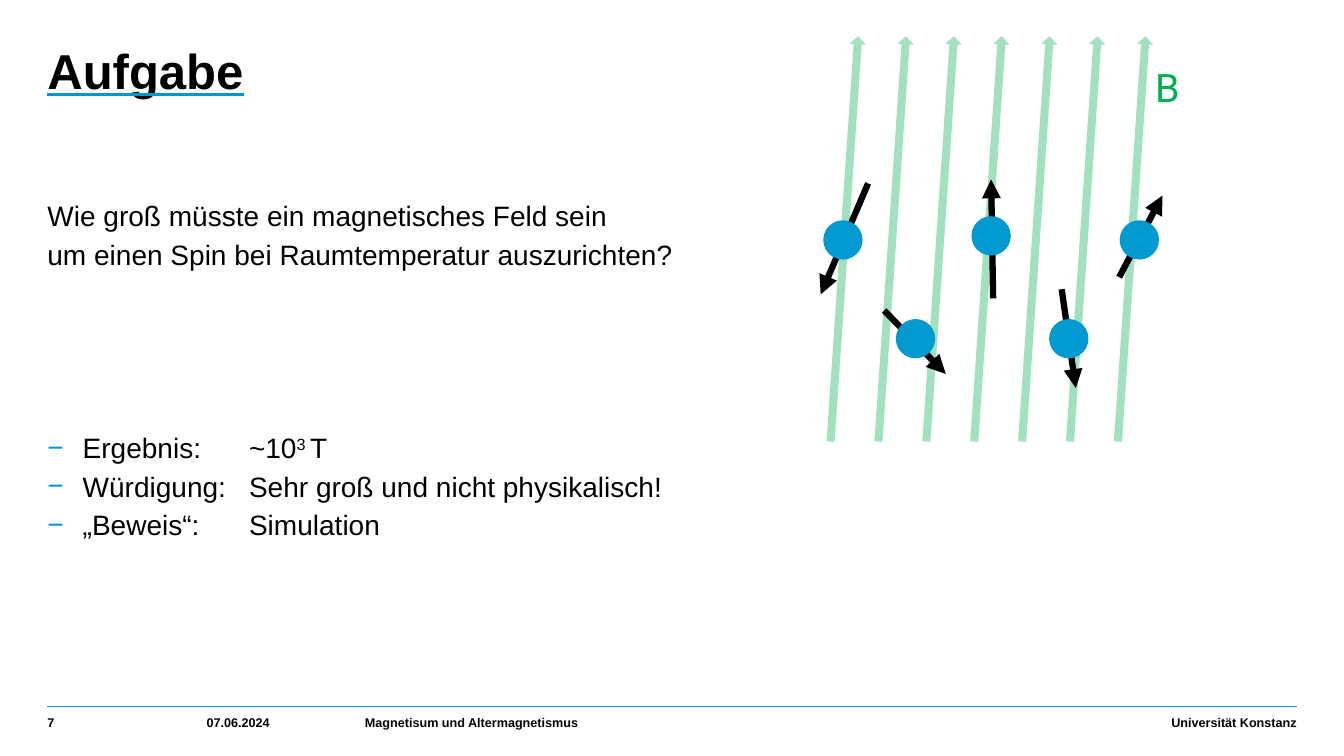
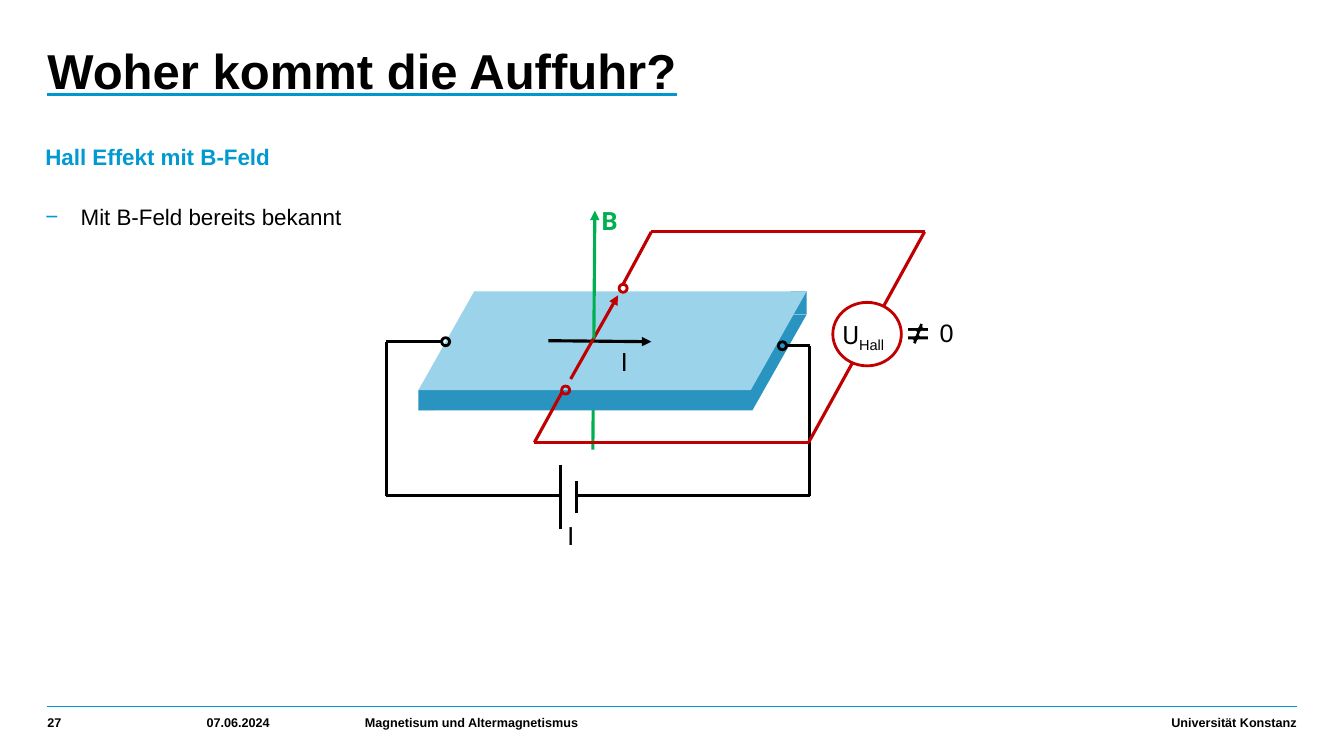
import dataclasses
import itertools

import pptx
import pptx.dml.color
import pptx.enum.shapes
import pptx.enum.text
import pptx.oxml
import pptx.oxml.ns
import pptx.util

Inches = pptx.util.Inches
Pt = pptx.util.Pt
SHAPES = pptx.enum.shapes.MSO_SHAPE
ALIGN = pptx.enum.text.PP_ALIGN
ANCHOR = pptx.enum.text.MSO_ANCHOR
NAMESPACE = pptx.oxml.ns.nsdecls("a")


@dataclasses.dataclass(frozen=True)
class Theme:
    black: str = "000000"
    white: str = "FFFFFF"
    rule: str = "0097CC"
    accent: str = "009AD1"
    field: str = "00B050"
    hall: str = "C00000"
    sheet_top: str = "9BD3EA"
    sheet_side: str = "2894BF"
    font: str = "Arial"
    symbol_font: str = "Roboto"
    title_size: float = 35
    task_size: float = 20
    body_size: float = 16
    field_size: float = 28
    label_size: float = 18
    footer_size: float = 9
    wire_width: float = 2.25
    outline_width: float = 2
    spin_width: float = 4.5


@dataclasses.dataclass(frozen=True)
class Box:
    left: float
    top: float
    width: float
    height: float

    def inside(self, left, top, width=0, height=0):
        """Return the box that lies at an offset from this one's corner."""
        return Box(self.left + left, self.top + top, width, height)

    def lengths(self):
        return [Inches(value) for value in dataclasses.astuple(self)]


THEME = Theme()
TITLE_BOX = Box(0.47, 0.44, 9.24, 0.71)
FOOTER_BOX = Box(0.47, 7.01, 12.39, 0.29)


def rgb(color):
    return pptx.dml.color.RGBColor.from_string(color)


def add_xml(parent, markup):
    """Append one DrawingML element, given without its namespace."""
    head, tail = markup.split(">", 1) if not markup.endswith("/>") else (markup[:-2], None)
    rest = "/>" if tail is None else ">" + tail
    parent.append(pptx.oxml.parse_xml(f"{head} {NAMESPACE}{rest}"))


def write(para, text, size=THEME.body_size, color=THEME.black, bold=False,
          font=THEME.font, baseline=0, underline=None):
    span = para.add_run()
    span.text = text
    span.font.size = Pt(size)
    span.font.bold = bold
    span.font.color.rgb = rgb(color)
    properties = span.font._element
    if baseline:
        properties.set("baseline", str(baseline * 1000))
    if underline:
        span.font.underline = True
        add_xml(properties, f'<a:uFill><a:solidFill><a:srgbClr val="{underline}"/>'
                            '</a:solidFill></a:uFill>')
    span.font.name = font


def set_insets(frame, bottom=0):
    frame.margin_left = frame.margin_top = frame.margin_right = 0
    frame.margin_bottom = Inches(bottom)


def add_label(page, box, text, wrap=False, **style):
    """Add a text box and return its frame."""
    frame = page.shapes.add_textbox(*box.lengths()).text_frame
    frame.word_wrap = wrap
    write(frame.paragraphs[0], text, **style)
    return frame


def add_shape(page, kind, box, fill=None, line=None, opacity=None):
    shape = page.shapes.add_shape(kind, *box.lengths())
    shape.shadow.inherit = False
    if fill:
        shape.fill.solid()
        shape.fill.fore_color.rgb = rgb(fill)
    else:
        shape.fill.background()
    if opacity:
        color = shape.fill._xPr.find(".//" + pptx.oxml.ns.qn("a:srgbClr"))
        add_xml(color, f'<a:alpha val="{opacity * 1000}"/>')
    if line:
        shape.line.color.rgb = rgb(line)
        shape.line.width = Pt(THEME.outline_width)
    else:
        shape.line.fill.background()
    return shape


def add_line(page, box, start, end, color=THEME.black, width=THEME.wire_width, arrow=False):
    """Draw a straight line between two offsets inside the box."""
    ends = [Inches(value) for point in (start, end)
            for value in (box.left + point[0], box.top + point[1])]
    line = page.shapes.add_connector(pptx.enum.shapes.MSO_CONNECTOR.STRAIGHT, *ends)
    line.line.color.rgb = rgb(color)
    line.line.width = Pt(width)
    if arrow:
        add_xml(line.line._get_or_add_ln(), '<a:tailEnd type="triangle"/>')
    add_xml(line._element.spPr, "<a:effectLst/>")


def add_wire(page, box, points, color=THEME.black):
    for start, end in itertools.pairwise(points):
        add_line(page, box, start, end, color)


def place(placeholder, box):
    placeholder.left, placeholder.top, placeholder.width, placeholder.height = box.lengths()
    frame = placeholder.text_frame
    frame.auto_size = pptx.enum.text.MSO_AUTO_SIZE.NONE
    frame.vertical_anchor = ANCHOR.TOP
    frame.word_wrap = True
    set_insets(frame)
    return frame


def format_body(para, bullet=False, gap=0, tab=None):
    """Set spacing and indent; gap is the space above in points."""
    para.alignment = ALIGN.LEFT
    para.line_spacing = 1.1
    para.space_before = Pt(gap)
    para.space_after = Pt(1)
    properties = para._p.get_or_add_pPr()
    indent = Inches(0.35) if bullet else 0
    properties.set("marL", str(indent))
    properties.set("indent", str(-indent))
    if bullet:
        para.level = 1
        add_xml(properties, f'<a:buClr><a:srgbClr val="{THEME.accent}"/></a:buClr>')
        add_xml(properties, f'<a:buFont typeface="{THEME.font}"/>')
        add_xml(properties, '<a:buChar char="−"/>')
    else:
        add_xml(properties, "<a:buNone/>")
    if tab:
        add_xml(properties, f'<a:tabLst><a:tab pos="{Inches(tab)}" algn="l"/></a:tabLst>')


def next_para(frame):
    """Return the empty first paragraph, or a new one."""
    first = frame.paragraphs[0]
    return frame.add_paragraph() if first.runs else first


def add_footer(page, box, number):
    add_line(page, box, (0, 0), (box.width, 0), THEME.rule, 1)
    columns = [
        (0, 1.36, number, ALIGN.LEFT),
        (1.58, 1.37, "07.06.2024", ALIGN.LEFT),
        (3.15, 4.5, "Magnetisum und Altermagnetismus", ALIGN.LEFT),
        (7.88, 4.51, "Universität Konstanz", ALIGN.RIGHT),
    ]
    for left, width, text, align in columns:
        frame = add_label(page, box.inside(left, 0.05, width, 0.24), text, wrap=True,
                          size=THEME.footer_size, bold=True)
        set_insets(frame, bottom=0.06)
        frame.vertical_anchor = ANCHOR.BOTTOM
        frame.paragraphs[0].alignment = align


def add_page(deck, title, number, body_box):
    """Add a slide with title and footer; return it and its body frame."""
    page = deck.slides.add_slide(deck.slide_layouts[1])
    para = place(page.shapes.title, TITLE_BOX).paragraphs[0]
    para.alignment = ALIGN.LEFT
    para.line_spacing = 0.95
    write(para, title, size=THEME.title_size, bold=True, underline=THEME.rule)
    add_footer(page, FOOTER_BOX, number)
    return page, place(page.placeholders[1], body_box)


def draw_spins(page, box):
    """Draw tilted field lines and the spins between them."""
    length, thickness = 4.03, 0.16
    for index in range(7):
        center = 0.375 + 0.475 * index
        arrow = add_shape(page, SHAPES.RIGHT_ARROW,
                          box.inside(center - length / 2, 1.99, length, thickness),
                          fill=THEME.field, opacity=37)
        arrow.rotation = 273.9
    diameter = 0.39
    spins = [
        ((0.61, 1.52), (0.14, 2.62), (0.36, 2.08)),
        ((0.77, 2.78), (1.38, 3.41), (1.08, 3.06)),
        ((1.85, 2.66), (1.83, 1.48), (1.83, 2.04)),
        ((2.53, 2.57), (2.67, 3.55), (2.6, 3.06)),
        ((3.1, 2.45), (3.53, 1.64), (3.3, 2.08)),
    ]
    for start, tip, (x, y) in spins:
        add_line(page, box, start, tip, width=THEME.spin_width, arrow=True)
        add_shape(page, SHAPES.OVAL,
                  box.inside(x - diameter / 2, y - diameter / 2, diameter, diameter),
                  fill=THEME.accent)
    add_label(page, box.inside(3.36, 0.28, 0.43, 0.57), "B", size=THEME.field_size,
              color=THEME.field, font=THEME.symbol_font)


def draw_sheet(page, box):
    """Draw the conducting sheet as a thin slab."""
    height, skew = 0.98, 0.565
    parts = [
        (SHAPES.PARALLELOGRAM, box.inside(0, 0.23, box.width, 0.95), THEME.sheet_side),
        (SHAPES.RECTANGLE, box.inside(0, height, 0.16, 0.2), THEME.sheet_side),
        (SHAPES.RECTANGLE, box.inside(box.width - 0.16, 0, 0.16, 0.23), THEME.sheet_side),
        (SHAPES.PARALLELOGRAM, box.inside(0, 0, box.width, height), THEME.sheet_top),
    ]
    for kind, part, color in parts:
        shape = add_shape(page, kind, part, fill=color)
        if kind == SHAPES.PARALLELOGRAM:
            shape.adjustments[0] = skew


def draw_meter(page, box):
    add_shape(page, SHAPES.OVAL, box, fill=THEME.white, line=THEME.hall)
    frame = add_label(page, box.inside(0, 0.12, 0.78, 0.4), "U",
                      size=THEME.label_size, font=THEME.symbol_font)
    write(frame.paragraphs[0], "Hall", size=THEME.label_size, baseline=-25)
    add_shape(page, SHAPES.MATH_NOT_EQUAL, box.inside(0.69, 0.19, 0.31, 0.24),
              fill=THEME.black, line=THEME.white)
    add_label(page, box.inside(0.96, 0.1, 0.34, 0.4), "0", size=THEME.label_size)


def draw_hall_circuit(page, box):
    add_line(page, box, (2.08, 2.46), (2.09, 1.19), THEME.field)
    draw_sheet(page, box.inside(0.35, 0.89, 3.85, 1.18))

    for x, y, color in [(3.92, 1.39, THEME.black), (0.58, 1.35, THEME.black),
                        (1.77, 1.83, THEME.hall), (2.34, 0.82, THEME.hall)]:
        add_shape(page, SHAPES.OVAL, box.inside(x, y, 0.08, 0.08), line=color)

    add_wire(page, box, [(0.58, 1.39), (0.03, 1.39), (0.03, 2.92), (1.76, 2.92)])
    add_wire(page, box, [(4, 1.43), (4.23, 1.43), (4.23, 2.92), (1.92, 2.92)])
    for x, half in [(1.76, 0.32), (1.92, 0.16)]:
        add_line(page, box, (x, 2.93 - half), (x, 2.93 + half))
    add_wire(page, box, [(2.38, 0.82), (2.66, 0.3), (5.37, 0.3), (4.22, 2.39),
                         (1.5, 2.39), (1.78, 1.88)], THEME.hall)

    for start, tip, color in [((1.64, 1.38), (2.66, 1.39), THEME.black),
                              ((1.86, 1.76), (2.33, 0.93), THEME.hall),
                              ((2.09, 1.36), (2.1, 0.09), THEME.field)]:
        add_line(page, box, start, tip, color, arrow=True)
    for x, y, text, color in [(1.73, 3.11, "I", THEME.black), (2.26, 1.39, "I", THEME.black),
                              (2.07, -0.01, "B", THEME.field)]:
        add_label(page, box.inside(x, y, 0.33, 0.4), text, size=THEME.label_size,
                  color=color, font=THEME.symbol_font, bold=text == "B")
    draw_meter(page, box.inside(4.46, 1, 0.68, 0.63))


def build_task(deck):
    page, body = add_page(deck, "Aufgabe", "7", Box(0.47, 1.94, 12.39, 5))
    for text in ["Wie groß müsste ein magnetisches Feld sein",
                 "um einen Spin bei Raumtemperatur auszurichten?"]:
        para = next_para(body)
        format_body(para)
        write(para, text, size=THEME.task_size)
    answers = [
        [("Ergebnis:\t~10", 0), ("3 ", 30), ("T", 0)],
        [("Würdigung:\tSehr groß und nicht physikalisch!", 0)],
        [("„Beweis“: \tSimulation", 0)],
    ]
    for index, answer in enumerate(answers):
        para = next_para(body)
        format_body(para, bullet=True, gap=0 if index else 111, tab=2)
        for text, baseline in answer:
            write(para, text, size=THEME.task_size, baseline=baseline)
    draw_spins(page, Box(8, 0.3, 3.8, 4.15))


def build_hall(deck):
    page, body = add_page(deck, "Woher kommt die Auffuhr?", "27", Box(0.45, 1.39, 4.08, 5.04))
    heading = next_para(body)
    format_body(heading)
    write(heading, "Hall Effekt mit B-Feld", color=THEME.accent, bold=True)
    point = next_para(body)
    format_body(point, bullet=True, gap=21)
    write(point, "Mit B-Feld bereits bekannt")
    draw_hall_circuit(page, Box(3.8, 2, 5.8, 3.5))


def main():
    deck = pptx.Presentation()
    deck.slide_width, deck.slide_height = Inches(13.33), Inches(7.5)
    build_task(deck)
    build_hall(deck)
    deck.save("out.pptx")


if __name__ == "__main__":
    main()
